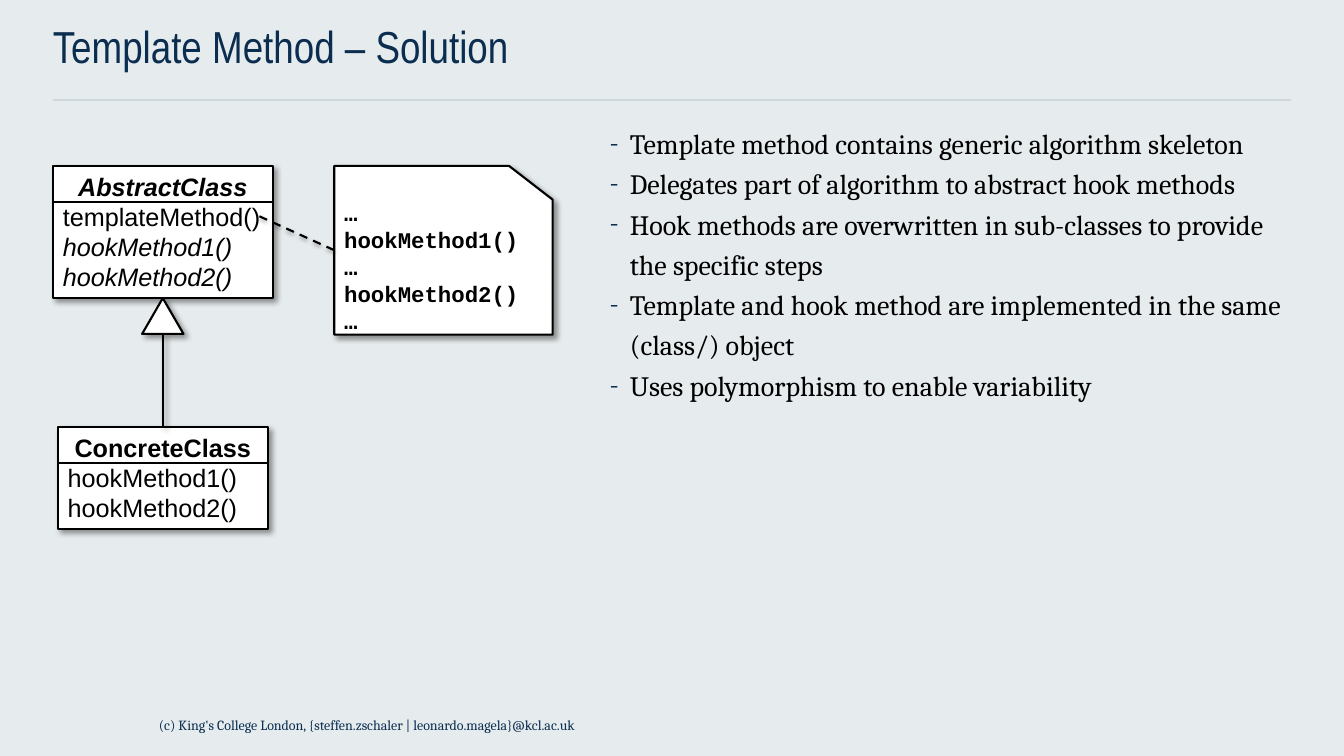
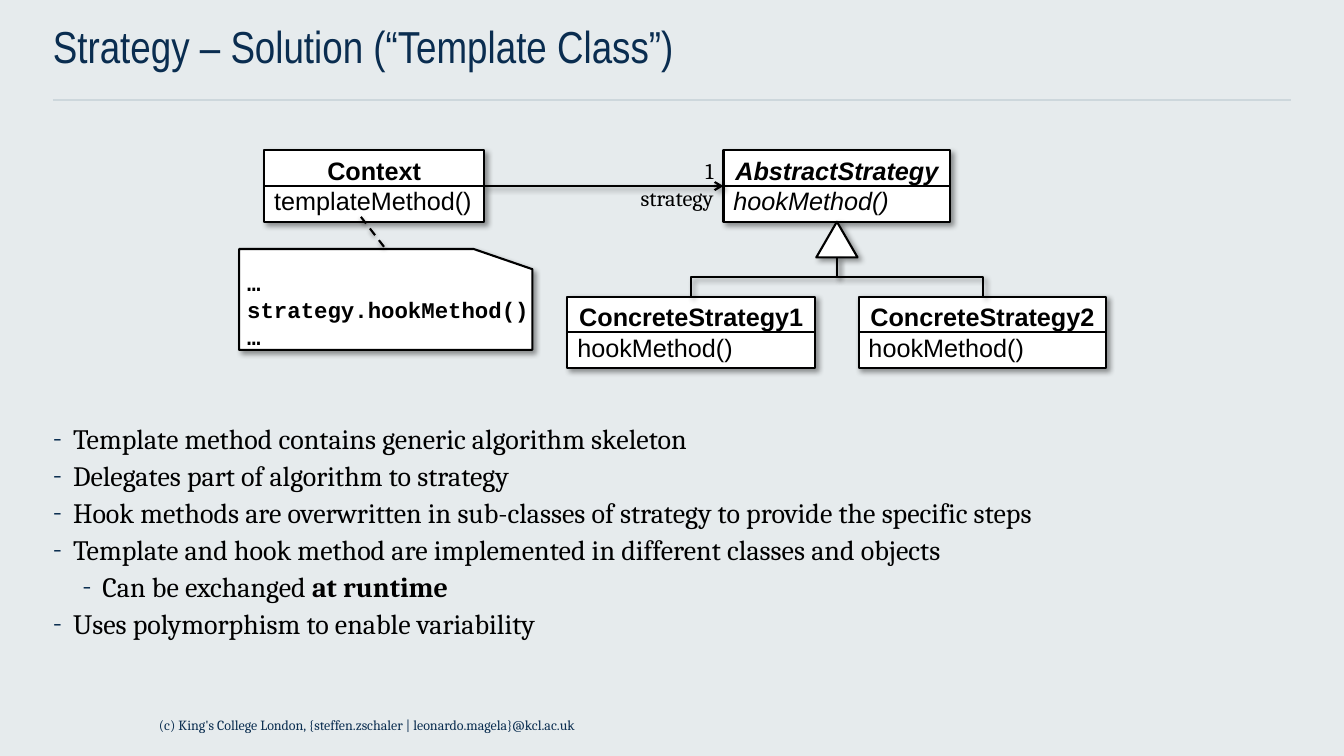
from lxml.etree import SubElement
from pptx import Presentation
from pptx.dml.color import RGBColor
from pptx.enum.dml import MSO_LINE_DASH_STYLE as DASH
from pptx.enum.shapes import MSO_CONNECTOR as CONNECTOR, MSO_SHAPE as SHAPE
from pptx.enum.text import MSO_ANCHOR as ANCHOR, PP_ALIGN as ALIGN
from pptx.oxml.ns import qn
from pptx.util import Pt

COLORS = {"background": "E6EBED", "rule": "CDD7DC", "navy": "0A2D50",
          "black": "000000", "white": "FFFFFF"}
TITLE_FONT, BODY_FONT, CLASS_FONT, CODE_FONT = "Arial Narrow", "Cambria", "Arial", "Courier New"
FOOTER = "(c) King's College London, {steffen.zschaler | leonardo.magela}@kcl.ac.uk"

SLIDE_WIDTH, SLIDE_HEIGHT = 960, 540
MARGIN = 37.8
CONTENT_WIDTH = SLIDE_WIDTH - 2 * MARGIN
RULE_TOP = 71.5

DEFAULT_INSETS = (7.2, 3.6, 7.2, 3.6)
LINE_FACTOR = 1.2
BULLET_INDENT, LEVEL_INDENT = 14.4, 21
NAME_HEIGHT = 25.5
TRIANGLE_WIDTH, TRIANGLE_HEIGHT = 29.5, 25.5
TOP_SIDE, LEFT_SIDE, RIGHT_SIDE = 0, 1, 3


def color(name):
    return RGBColor.from_string(COLORS[name])


def points(values):
    return [Pt(value) for value in values]


# Text

def style_font(font, name, size, color_name="black", bold=False, italic=False):
    font.name, font.size = name, Pt(size)
    font.bold, font.italic = bold, italic
    font.color.rgb = color(color_name)


def prepare_frame(shape, insets=(0, 0, 0, 0)):
    frame = shape.text_frame
    frame.word_wrap = True
    frame.vertical_anchor = ANCHOR.TOP
    (frame.margin_left, frame.margin_top,
     frame.margin_right, frame.margin_bottom) = points(insets)
    return frame


def write_lines(shape, lines, font, size, insets=DEFAULT_INSETS, align=ALIGN.LEFT,
                color_name="black", bold=False):
    frame = prepare_frame(shape, insets)
    frame.text = "\n".join(lines)
    for paragraph in frame.paragraphs:
        paragraph.alignment = align
        paragraph.line_spacing = Pt(size * LINE_FACTOR)
        style_font(paragraph.runs[0].font, font, size, color_name, bold)
    return frame.paragraphs


def add_label(slide, box, lines, font, size, **style):
    write_lines(slide.shapes.add_textbox(*points(box)), lines, font, size, **style)


def set_bullet(paragraph, level):
    properties = paragraph._p.get_or_add_pPr()
    properties.set("marL", str(Pt(BULLET_INDENT + LEVEL_INDENT * level)))
    properties.set("indent", str(Pt(-BULLET_INDENT)))
    bullet_color = SubElement(properties, qn("a:buClr"))
    SubElement(bullet_color, qn("a:srgbClr"), val=COLORS["navy"])
    SubElement(properties, qn("a:buFont"), typeface=BODY_FONT)
    SubElement(properties, qn("a:buChar"), char="-")
    paragraph.level = level


def add_bullets(slide, box, items, spacing):
    """Each item is (level, plain text, optional bold text)."""
    frame = prepare_frame(slide.shapes.add_textbox(*points(box)))
    for index, (level, *texts) in enumerate(items):
        paragraph = frame.paragraphs[0] if index == 0 else frame.add_paragraph()
        set_bullet(paragraph, level)
        paragraph.line_spacing = spacing
        for text, bold in zip(texts, (False, True)):
            run = paragraph.add_run()
            run.text = text
            style_font(run.font, BODY_FONT, 20, bold=bold)


# Outlines and lines

def cast_shadow(shape, blur=4, distance=3, angle=45, opacity=40):
    effects = shape.element.spPr.find(qn("a:effectLst"))
    shadow = SubElement(effects, qn("a:outerShdw"), blurRad=str(Pt(blur)), dist=str(Pt(distance)),
                        dir=str(angle * 60000), algn="tl", rotWithShape="0")
    tint = SubElement(shadow, qn("a:srgbClr"), val=COLORS["black"])
    SubElement(tint, qn("a:alpha"), val=str(opacity * 1000))


def set_transform(shape, name, value):
    shape.element.spPr.find(qn("a:xfrm")).set(name, str(value))


def add_outlined(slide, kind, box):
    shape = slide.shapes.add_shape(kind, *points(box))
    shape.fill.solid()
    shape.fill.fore_color.rgb = color("white")
    shape.line.color.rgb = color("black")
    shape.line.width = Pt(1.5)
    shape.shadow.inherit = False
    cast_shadow(shape)
    return shape


def add_line(slide, start, end, kind=CONNECTOR.STRAIGHT, color_name="black", width=1.5):
    line = slide.shapes.add_connector(kind, *points((*start, *end)))
    line.line.color.rgb = color(color_name)
    line.line.width = Pt(width)
    SubElement(line.element.spPr, qn("a:effectLst"))
    return line


# Class diagram parts

def add_class(slide, box, name, methods, abstract=False):
    left, top, width, height = box
    shape = add_outlined(slide, SHAPE.RECTANGLE, box)
    heading, *entries = write_lines(shape, [name, *methods], CLASS_FONT, 18)
    heading.alignment = ALIGN.CENTER
    heading.runs[0].font.bold = True
    heading.runs[0].font.italic = abstract
    for entry in entries:
        entry.runs[0].font.italic = abstract and entry.text.startswith("hook")
    divider = top + NAME_HEIGHT
    add_line(slide, (left, divider), (left + width, divider))
    return shape


def add_code_note(slide, box, lines, insets):
    note = add_outlined(slide, SHAPE.FLOWCHART_CARD, box)
    set_transform(note, "flipH", 1)
    write_lines(note, lines, CODE_FONT, 16, insets, bold=True)


def add_note_link(slide, start, end):
    link = add_line(slide, start, end)
    link.line.dash_style = DASH.DASH
    cast_shadow(link, blur=3.1, distance=1.6, angle=90, opacity=38)


def add_inheritance_triangle(slide, parent_box):
    """Returns the middle of the triangle's base."""
    left, top, width, height = parent_box
    center, bottom = left + width / 2, top + height
    add_outlined(slide, SHAPE.ISOSCELES_TRIANGLE,
                 (center - TRIANGLE_WIDTH / 2, bottom, TRIANGLE_WIDTH, TRIANGLE_HEIGHT))
    return center, bottom + TRIANGLE_HEIGHT


def add_branch(slide, start, end):
    """An elbow runs sideways first, so it is laid flat and turned to run downwards."""
    (start_x, start_y), (end_x, end_y) = start, end
    middle_x, middle_y = (start_x + end_x) / 2, (start_y + end_y) / 2
    half_drop, half_run = (end_y - start_y) / 2, abs(end_x - start_x) / 2
    to_right = end_x > start_x
    offset = half_drop if to_right else -half_drop
    branch = add_line(slide, (middle_x + offset, middle_y - half_run),
                      (middle_x - offset, middle_y + half_run), CONNECTOR.ELBOW)
    set_transform(branch, "rot", (270 if to_right else 90) * 60000)
    cast_shadow(branch)


def add_association(slide, source, target, start, end):
    association = add_line(slide, start, end)
    association.begin_connect(source, RIGHT_SIDE)
    association.end_connect(target, LEFT_SIDE)
    SubElement(association.element.spPr.find(qn("a:ln")), qn("a:tailEnd"), type="arrow")
    cast_shadow(association)


# Slide regions

def add_content_slide(presentation, title):
    slide = presentation.slides.add_slide(presentation.slide_layouts[6])
    slide.background.fill.solid()
    slide.background.fill.fore_color.rgb = color("background")
    add_line(slide, (MARGIN, RULE_TOP), (MARGIN + CONTENT_WIDTH, RULE_TOP),
             color_name="rule", width=1)
    no_insets = (0, 0, 0, 0)
    add_label(slide, (MARGIN, 13, CONTENT_WIDTH, 57), [title], TITLE_FONT, 32,
              insets=no_insets, color_name="navy")
    add_label(slide, (113.5, 512, 733, 28), [FOOTER], BODY_FONT, 10,
              insets=no_insets, color_name="navy")
    return slide


def draw_template_method(slide, left, top):
    abstract_box = (left, top, 157, 94.5)
    concrete_top = top + 186.5
    note_left, note_height = left + 201, 120.5

    add_class(slide, abstract_box, "AbstractClass",
              ["templateMethod()", "hookMethod1()", "hookMethod2()"], abstract=True)
    concrete = add_class(slide, (left + 3.5, concrete_top, 150, 73), "ConcreteClass",
                         ["hookMethod1()", "hookMethod2()"])

    base = add_inheritance_triangle(slide, abstract_box)
    stem = add_line(slide, base, (base[0], concrete_top))
    stem.end_connect(concrete, TOP_SIDE)
    cast_shadow(stem)

    add_code_note(slide, (note_left, top, 156, note_height),
                  ["…", "hookMethod1()", "…", "hookMethod2()", "…"], (7.2, 0, 7.2, 0))
    add_note_link(slide, (left + 147.5, top + 36), (note_left, top + note_height / 2))


def draw_strategy(slide, left, top):
    class_height, child_width, child_gap = 51, 177, 31
    context_left, context_width = left + 18, 157
    abstract_left, abstract_width = left + 346, 162
    child_top = top + 104.5
    note_top, note_width = top + 70.5, 209.5
    label_width = 71.5
    middle = top + class_height / 2

    context = add_class(slide, (context_left, top, context_width, class_height), "Context",
                        ["templateMethod()"])
    abstract_box = (abstract_left, top, abstract_width, class_height)
    strategy = add_class(slide, abstract_box, "AbstractStrategy", ["hookMethod()"], abstract=True)

    base = add_inheritance_triangle(slide, abstract_box)
    child_step = child_width + child_gap
    for index in range(2):
        child_center = base[0] + (index - 0.5) * child_step
        add_class(slide, (child_center - child_width / 2, child_top, child_width, class_height),
                  f"ConcreteStrategy{index + 1}", ["hookMethod()"])
        add_branch(slide, base, (child_center, child_top))

    add_association(slide, context, strategy,
                    (context_left + context_width, middle), (abstract_left, middle))
    add_label(slide, (abstract_left - label_width, top + 1.5, label_width, 46),
              ["1", "strategy"], BODY_FONT, 16, align=ALIGN.RIGHT)

    add_code_note(slide, (left, note_top, note_width, 72),
                  ["…", "strategy.hookMethod()", "…"], (5.8, 0, 0, 0))
    add_note_link(slide, (left + 87, top + 47.5), (left + note_width / 2, note_top))


def main():
    presentation = Presentation()
    presentation.slide_width, presentation.slide_height = points((SLIDE_WIDTH, SLIDE_HEIGHT))

    slide = add_content_slide(presentation, "Template Method – Solution")
    add_bullets(slide, (435.5, 85.5, 486.5, 382.5), [
        (0, "Template method contains generic algorithm skeleton"),
        (0, "Delegates part of algorithm to abstract hook methods"),
        (0, "Hook methods are overwritten in sub-classes to provide the specific steps"),
        (0, "Template and hook method are implemented in the same (class/) object"),
        (0, "Uses polymorphism to enable variability"),
    ], spacing=1.2)
    draw_template_method(slide, MARGIN, 118.5)

    slide = add_content_slide(presentation, "Strategy – Solution (“Template Class”)")
    add_bullets(slide, (MARGIN, 299, CONTENT_WIDTH, 169), [
        (0, "Template method contains generic algorithm skeleton"),
        (0, "Delegates part of algorithm to strategy"),
        (0, "Hook methods are overwritten in sub-classes of strategy to provide the specific steps"),
        (0, "Template and hook method are implemented in different classes and objects"),
        (1, "Can be exchanged ", "at runtime"),
        (0, "Uses polymorphism to enable variability"),
    ], spacing=1.1)
    draw_strategy(slide, 170.8, 107.4)

    presentation.save("out.pptx")


if __name__ == "__main__":
    main()
